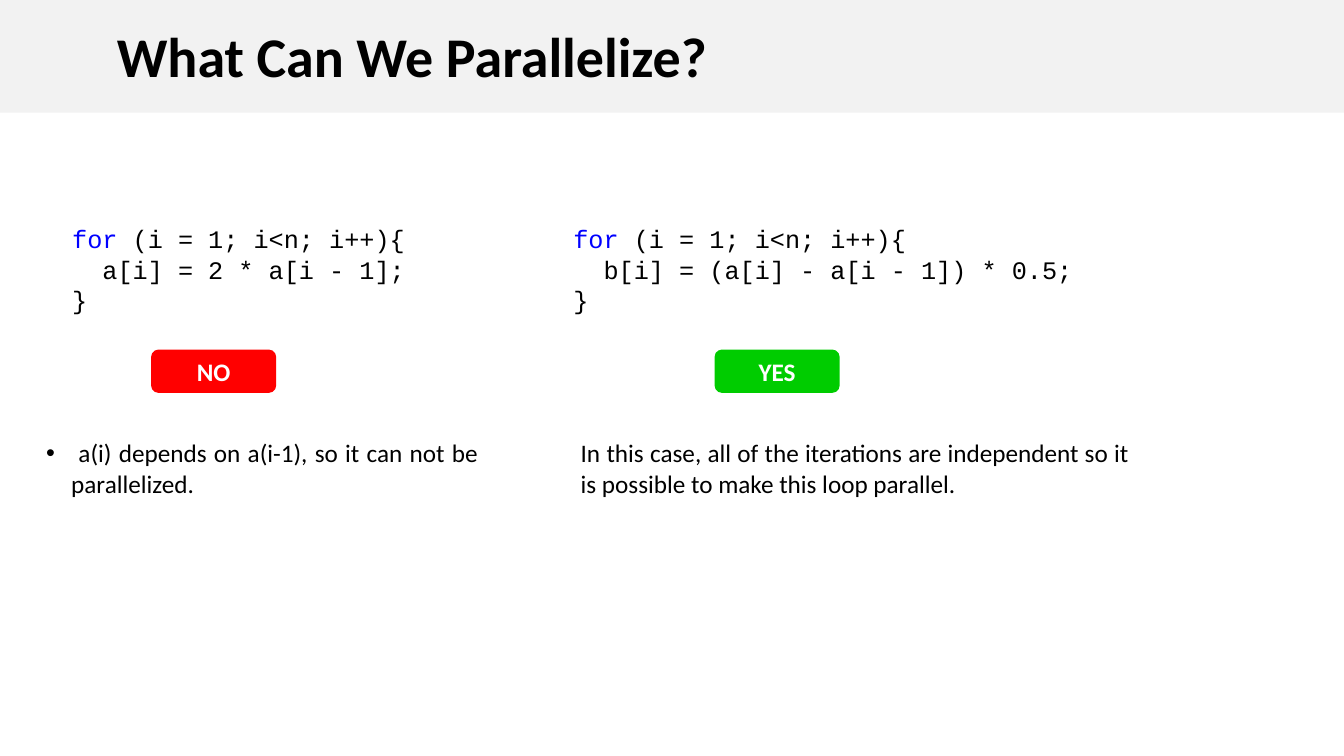
from dataclasses import dataclass

import pptx
import pptx.dml.color
import pptx.enum.shapes
import pptx.enum.text
import pptx.oxml
import pptx.oxml.ns
import pptx.util

Cm, Pt = pptx.util.Cm, pptx.util.Pt
PP_ALIGN = pptx.enum.text.PP_ALIGN
ANCHOR = pptx.enum.text.MSO_ANCHOR
AUTO_SIZE = pptx.enum.text.MSO_AUTO_SIZE
SHAPE = pptx.enum.shapes.MSO_SHAPE


@dataclass(frozen=True)
class Theme:
    text_font: str = "Calibri"
    code_font: str = "Courier New"
    title_size: int = 40
    text_size: int = 18
    ink: str = "000000"
    keyword: str = "0000FF"
    white: str = "FFFFFF"
    band: str = "F2F2F2"
    no: str = "FF0000"
    yes: str = "00CC00"


THEME = Theme()


@dataclass(frozen=True)
class Case:
    """One loop with its verdict; offsets in cm run from the left of the code."""
    box: tuple
    code: tuple
    verdict: str
    verdict_color: str
    verdict_offset: float
    note: str
    note_offset: float
    note_width: float
    bulleted: bool


CASES = (
    Case((1.57, 5.51, 9.27, 2.57),
         ("for (i = 1; i<n; i++){", "  a[i] = 2 * a[i - 1];", "}"),
         "NO", THEME.no, 2.24,
         " a(i) depends on a(i-1), so it can not be parallelized.",
         -0.66, 11.4, True),
    Case((14.2, 5.51, 16.94, 2.57),
         ("for (i = 1; i<n; i++){", "  b[i] = (a[i] - a[i - 1]) * 0.5;", "}"),
         "YES", THEME.yes, 3.81,
         "In this case, all of the iterations are independent so it is "
         "possible to make this loop parallel.",
         0.18, 14.33, False),
)


def rgb(value):
    return pptx.dml.color.RGBColor.from_string(value)


def place(shape, left, top, width, height):
    shape.left, shape.top = Cm(left), Cm(top)
    shape.width, shape.height = Cm(width), Cm(height)


def style(runs, color=THEME.ink, size=THEME.text_size, name=THEME.text_font, bold=False):
    for r in runs:
        r.font.name, r.font.size, r.font.bold = name, Pt(size), bold
        r.font.color.rgb = rgb(color)


def add_block(s, kind, box, fill):
    sp = s.shapes.add_shape(kind, *map(Cm, box))
    sp.shadow.inherit = False
    sp.fill.solid()
    sp.fill.fore_color.rgb = rgb(fill)
    sp.line.fill.background()
    return sp


def set_bullet(p, bulleted):
    pPr = p._p.get_or_add_pPr()
    indent = Cm(0.63) if bulleted else 0
    pPr.set("marL", str(indent))
    pPr.set("indent", str(-indent))
    ns = pptx.oxml.ns.nsdecls("a")
    tags = ([f'<a:buFont {ns} typeface="Arial"/>', f'<a:buChar {ns} char="•"/>']
            if bulleted else [f"<a:buNone {ns}/>"])
    for tag in tags:
        pPr.append(pptx.oxml.parse_xml(tag))


def add_header(s, left, top, width, height):
    band = add_block(s, SHAPE.RECTANGLE, (left, top, width, height), THEME.band)
    s.shapes._spTree.insert(2, band._element)  # behind the title
    title = s.shapes.title
    place(title, left + 2.69, top - 0.18, 25.35, 2.57)
    tf = title.text_frame
    tf.text = "What Can We Parallelize?"
    tf.auto_size, tf.vertical_anchor = AUTO_SIZE.NONE, ANCHOR.BOTTOM
    p = tf.paragraphs[0]
    p.alignment, p.line_spacing = PP_ALIGN.LEFT, 0.9
    style(p.runs, size=THEME.title_size, bold=True)


def add_code(s, box, lines):
    tf = s.shapes.add_textbox(*map(Cm, box)).text_frame
    tf.word_wrap, tf.auto_size = True, AUTO_SIZE.SHAPE_TO_FIT_TEXT
    keyword = "for"
    for i, line in enumerate(lines):
        p = tf.add_paragraph() if i else tf.paragraphs[0]
        if line.startswith(keyword):
            p.text = keyword
            p.add_run().text = line[len(keyword):]
        else:
            p.text = line
        for r in p.runs:
            color = THEME.keyword if r.text == keyword else THEME.ink
            style([r], color, name=THEME.code_font)


def add_verdict(s, box, text, color):
    tf = add_block(s, SHAPE.ROUNDED_RECTANGLE, box, color).text_frame
    tf.text = text
    tf.vertical_anchor = ANCHOR.MIDDLE
    p = tf.paragraphs[0]
    p.alignment = PP_ALIGN.CENTER
    style(p.runs, THEME.white, bold=True)


def fill_note(body, box, text, bulleted):
    place(body, *box)
    tf = body.text_frame
    tf.text = text
    tf.word_wrap, tf.auto_size = True, AUTO_SIZE.SHAPE_TO_FIT_TEXT
    p = tf.paragraphs[0]
    set_bullet(p, bulleted)
    p.alignment, p.space_before = PP_ALIGN.JUSTIFY, Pt(0)
    style(p.runs)


def add_case(s, body, case):
    left, top, _, _ = case.box
    add_code(s, case.box, case.code)
    add_verdict(s, (left + case.verdict_offset, top + 3.3, 3.15, 1.09),
                case.verdict, case.verdict_color)
    fill_note(body, (left + case.note_offset, top + 5.39, case.note_width, 1.8),
              case.note, case.bulleted)


def main():
    prs = pptx.Presentation()
    prs.slide_width, prs.slide_height = Cm(33.87), Cm(19.05)
    s = prs.slides.add_slide(prs.slide_layouts.get_by_name("Two Content"))
    add_header(s, 0, 0, 33.87, 2.84)
    for body, case in zip(list(s.placeholders)[1:], CASES):
        add_case(s, body, case)
    prs.save("out.pptx")


if __name__ == "__main__":
    main()
